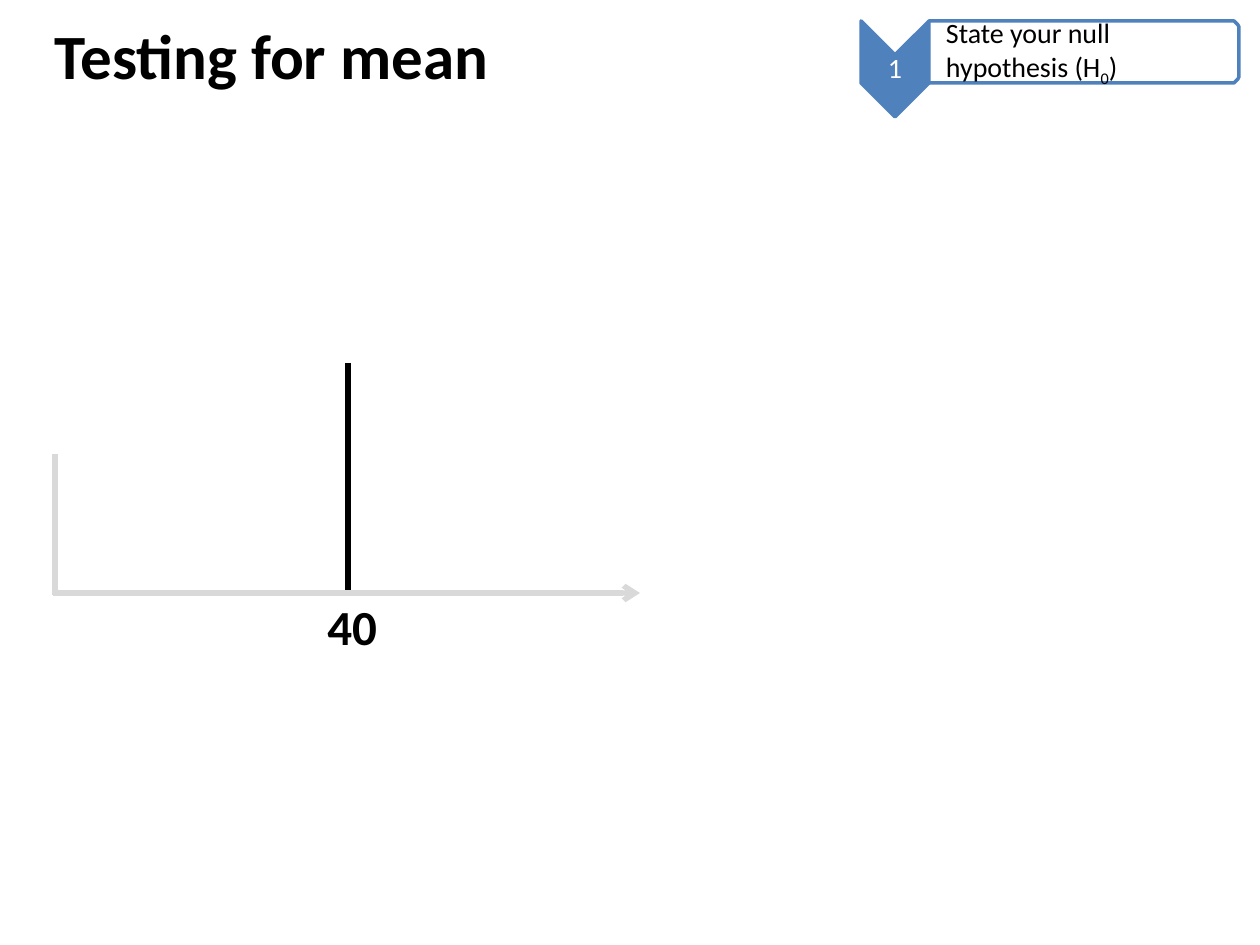
from dataclasses import dataclass
from math import cos, pi, sin

from lxml.etree import SubElement
from pptx import Presentation
from pptx.dml.color import RGBColor as RGB
from pptx.enum.shapes import MSO_CONNECTOR as CONN
from pptx.enum.text import MSO_ANCHOR as ANCHOR, MSO_AUTO_SIZE as AUTO, PP_ALIGN as ALIGN
from pptx.oxml.ns import qn
from pptx.util import Emu, Pt

PX = 914400 / 126


def px(n):
    return Emu(round(n * PX))


@dataclass(frozen=True)
class Theme:
    font: str = "Calibri"
    black: RGB = RGB(0, 0, 0)
    white: RGB = RGB(255, 255, 255)
    grey: RGB = RGB(0xD9, 0xD9, 0xD9)
    blue: RGB = RGB(0x4F, 0x81, 0xBD)
    title: int = 36
    label: int = 28
    step: int = 16
    axis: int = 3
    outline: int = 2


class Deck:
    def __init__(self, prs, theme):
        self.theme = theme
        self.slide = prs.slides.add_slide(prs.slide_layouts[5])

    def style(self, p, size, color, bold=False, align=ALIGN.LEFT):
        p.alignment = align
        f = p.font
        f.name, f.size, f.bold = self.theme.font, Pt(size), bold
        f.color.rgb = color

    def title(self, text, x, y, w, h):
        sp = self.slide.shapes.title
        sp.left, sp.top, sp.width, sp.height = map(px, (x, y, w, h))
        tf = sp.text_frame
        tf.text = text
        tf.vertical_anchor = ANCHOR.TOP
        self.style(tf.paragraphs[0], self.theme.title, self.theme.black, bold=True)

    def label(self, text, x, y, w, h):
        sp = self.slide.shapes.add_textbox(*map(px, (x, y, w, h)))
        tf = sp.text_frame
        tf.text = text
        tf.word_wrap = False
        tf.auto_size = AUTO.SHAPE_TO_FIT_TEXT
        self.style(tf.paragraphs[0], self.theme.label, self.theme.black, bold=True)

    def line(self, x1, y1, x2, y2, color, arrow=False):
        c = self.slide.shapes.add_connector(CONN.STRAIGHT, *map(px, (x1, y1, x2, y2)))
        c.line.color.rgb = color
        c.line.width = Pt(self.theme.axis)
        if arrow:
            SubElement(c.line._get_or_add_ln(), qn("a:headEnd"), type="arrow")
        SubElement(c._element.spPr, qn("a:effectLst"))

    def outline(self, points, fill, insets):
        start, *rest = points
        fb = self.slide.shapes.build_freeform(*start, scale=PX)
        fb.add_line_segments(rest, close=True)
        sp = fb.convert_to_shape()
        sp.shadow.inherit = False
        sp.fill.solid()
        sp.fill.fore_color.rgb = fill
        sp.line.color.rgb = self.theme.blue
        sp.line.width = Pt(self.theme.outline)
        tf = sp.text_frame
        tf.word_wrap = True
        tf.vertical_anchor = ANCHOR.MIDDLE
        tf.margin_left, tf.margin_top, tf.margin_right, tf.margin_bottom = map(px, insets)
        p = tf.paragraphs[0]
        p.line_spacing = 0.9
        return p

    def chevron(self, text, x, y, w, h, point):
        mid, right, low = x + w // 2, x + w, y + h - point
        points = [(right, y), (right, low), (mid, y + h), (x, low), (x, y), (mid, y + point)]
        p = self.outline(points, self.theme.blue, (1, 48, 1, 48))
        p.add_run().text = text
        self.style(p, self.theme.step, self.theme.white, align=ALIGN.CENTER)

    def panel(self, runs, x, y, w, h, rx, ry):
        turns = [i * pi / 16 for i in range(9)]
        right, low = x + w, y + h
        top_arc = [(right - rx + rx * sin(a), y + ry - ry * cos(a)) for a in turns]
        low_arc = [(right - rx + rx * cos(a), low - ry + ry * sin(a)) for a in turns]
        p = self.outline([(x, y), *top_arc, *low_arc, (x, low)], self.theme.white, (17, 6, 6, 6))
        for text, baseline in runs:
            r = p.add_run()
            r.text = text
            if baseline:
                r._r.get_or_add_rPr().set("baseline", str(baseline * 1000))
        self.style(p, self.theme.step, self.theme.black)


def main():
    prs = Presentation()
    prs.slide_width, prs.slide_height = px(1260), px(945)
    theme = Theme()
    deck = Deck(prs, theme)
    deck.title("Testing for mean", 42, 10, 1134, 158)
    deck.line(348, 363, 348, 591, theme.black)
    deck.label("40", 315, 590, 76, 72)
    deck.line(640, 593, 53, 593, theme.grey, arrow=True)
    deck.line(55, 454, 55, 595, theme.grey)
    deck.chevron("1", 861, 21, 68, 96, 34)
    hypothesis = [("State your null hypothesis (H", 0), ("0", -25), (")", 0)]
    deck.panel(hypothesis, 929, 21, 310, 62, 6, 10)
    prs.save("out.pptx")


if __name__ == "__main__":
    main()
